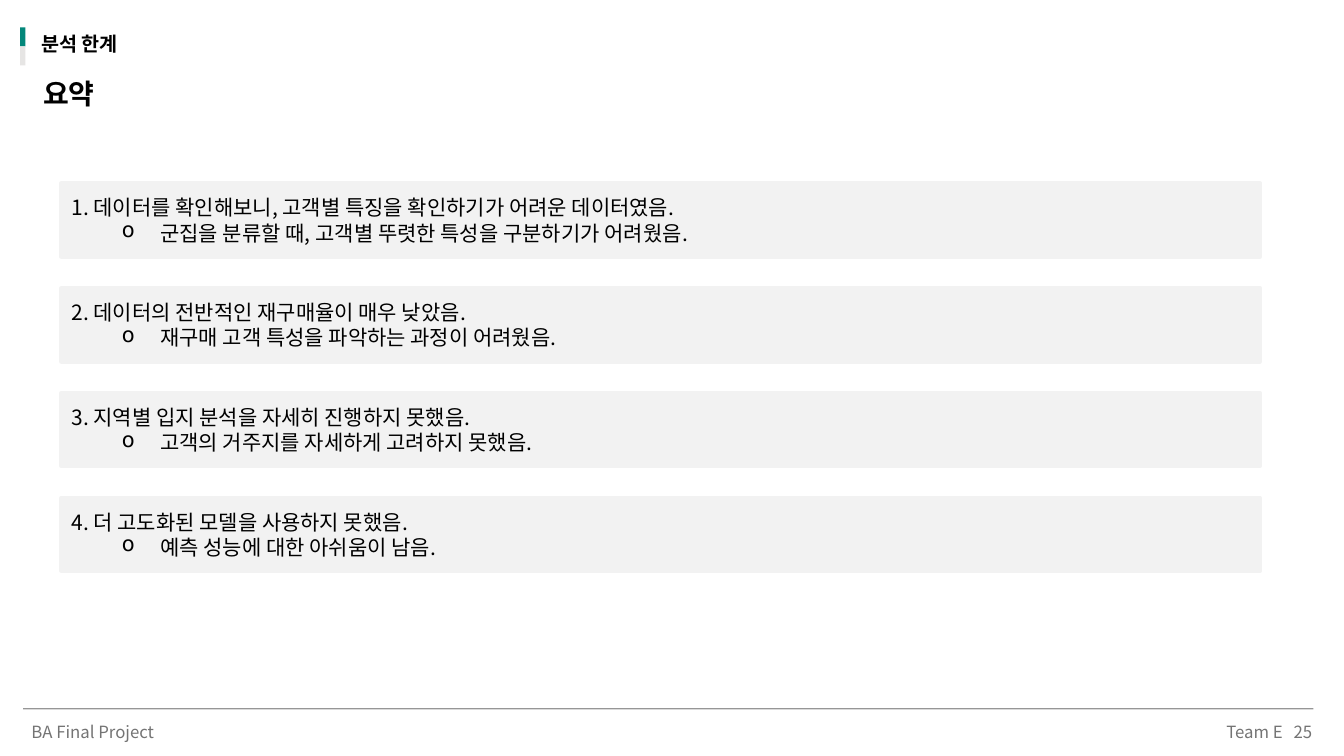
from lxml import etree
from pptx import Presentation
from pptx import util as u
from pptx.dml.color import RGBColor
from pptx.enum import shapes, text
from pptx.oxml import ns

BLACK = RGBColor(0x00, 0x00, 0x00)
TEAL = RGBColor(0x03, 0x87, 0x7A)
PALE = RGBColor(0xE6, 0xE5, 0xE4)
PANEL = RGBColor(0xF2, 0xF2, 0xF2)
RULE = RGBColor(0x40, 0x40, 0x40)
MUTED = RGBColor(0x74, 0x74, 0x74)

LIMITS = [
    ("데이터를 확인해보니, 고객별 특징을 확인하기가 어려운 데이터였음.",
     "군집을 분류할 때, 고객별 뚜렷한 특성을 구분하기가 어려웠음."),
    ("데이터의 전반적인 재구매율이 매우 낮았음.",
     "재구매 고객 특성을 파악하는 과정이 어려웠음."),
    ("지역별 입지 분석을 자세히 진행하지 못했음.",
     "고객의 거주지를 자세하게 고려하지 못했음."),
    ("더 고도화된 모델을 사용하지 못했음.",
     "예측 성능에 대한 아쉬움이 남음."),
]


def child(parent, tag, **attributes):
    return etree.SubElement(parent, ns.qn(tag), attributes)


class SummarySlide:
    font = "Noto Sans CJK KR"

    def __init__(self, slide):
        self.shapes = slide.shapes

    def add_words(self, paragraph, words, size, color=BLACK, bold=False):
        run = paragraph.add_run()
        run.text = words
        run.font.size = u.Pt(size)
        run.font.bold = bold
        run.font.color.rgb = color
        run.font.name = self.font
        child(run.font._element, "a:ea", typeface=self.font)

    def block(self, left, top, width, height, color, parent=None):
        block = (parent or self.shapes).add_shape(
            shapes.MSO_SHAPE.RECTANGLE,
            u.Cm(left), u.Cm(top), u.Cm(width), u.Cm(height))
        block.shadow.inherit = False
        block.fill.solid()
        block.fill.fore_color.rgb = color
        block.line.fill.background()
        return block

    def label(self, left, top, width, height, words, size, parent=None):
        label = (parent or self.shapes).add_textbox(
            u.Cm(left), u.Cm(top), u.Cm(width), u.Cm(height))
        frame = label.text_frame
        frame.word_wrap = True
        frame.auto_size = text.MSO_AUTO_SIZE.SHAPE_TO_FIT_TEXT
        self.add_words(frame.paragraphs[0], words, size, bold=True)

    def section(self, words):
        section = self.shapes.add_group_shape().shapes
        for row, color in enumerate((TEAL, PALE)):
            self.block(0.51, 0.69 + 0.48 * row, 0.13, 0.48, color, section)
        self.label(0.79, 0.69, 5.82, 0.86, words, 14, section)

    def limit(self, number, finding, effect):
        panel = self.block(1.55, 4.62 + 2.64 * (number - 1), 30.2, 1.85, PANEL)
        panel.line.color.rgb = PANEL
        panel.line.width = u.Pt(3)
        frame = panel.text_frame
        frame.word_wrap = True
        frame.vertical_anchor = text.MSO_ANCHOR.MIDDLE
        heading = frame.paragraphs[0]
        heading.alignment = text.PP_ALIGN.LEFT
        self.add_words(heading, f"{number}. {finding}", 15)
        detail = frame.add_paragraph()
        detail.alignment = text.PP_ALIGN.LEFT
        detail.level = 1
        self.add_words(detail, effect, 15)
        properties = detail._p.get_or_add_pPr()
        properties.set("marL", str(u.Cm(2.24)))
        properties.set("indent", str(-u.Cm(0.97)))
        child(properties, "a:buChar", char="o")

    def footer_rule(self):
        rule = self.shapes.add_connector(
            shapes.MSO_CONNECTOR.STRAIGHT,
            u.Cm(33.1), u.Cm(17.86), u.Cm(0.58), u.Cm(17.86))
        rule.line.width = u.Pt(1)
        rule.line.color.rgb = RULE
        properties = rule._element.spPr
        color = properties.find(".//" + ns.qn("a:srgbClr"))
        child(color, "a:alpha", val="54000")
        child(properties, "a:effectLst")

    def footer(self, left, words, alignment):
        footer = self.shapes.add_textbox(
            u.Cm(left), u.Cm(18.24), u.Cm(8.86), u.Cm(0.46))
        frame = footer.text_frame
        frame.margin_left = frame.margin_right = 0
        frame.margin_top = frame.margin_bottom = 0
        frame.word_wrap = True
        frame.auto_size = text.MSO_AUTO_SIZE.SHAPE_TO_FIT_TEXT
        paragraph = frame.paragraphs[0]
        paragraph.alignment = alignment
        paragraph.line_spacing = 0.9
        self.add_words(paragraph, words, 12, MUTED)


def main():
    deck = Presentation()
    deck.slide_width = u.Cm(33.87)
    deck.slide_height = u.Cm(19.05)
    summary = SummarySlide(deck.slides.add_slide(deck.slide_layouts[6]))
    summary.section("분석 한계")
    summary.label(0.84, 1.8, 32.28, 1.12, "요약", 20)
    summary.footer_rule()
    summary.footer(0.79, "BA Final Project", text.PP_ALIGN.LEFT)
    summary.footer(23.47, "Team E", text.PP_ALIGN.RIGHT)
    summary.footer(24.21, "25", text.PP_ALIGN.RIGHT)
    for number, (finding, effect) in enumerate(LIMITS, 1):
        summary.limit(number, finding, effect)
    deck.save("out.pptx")


if __name__ == "__main__":
    main()
